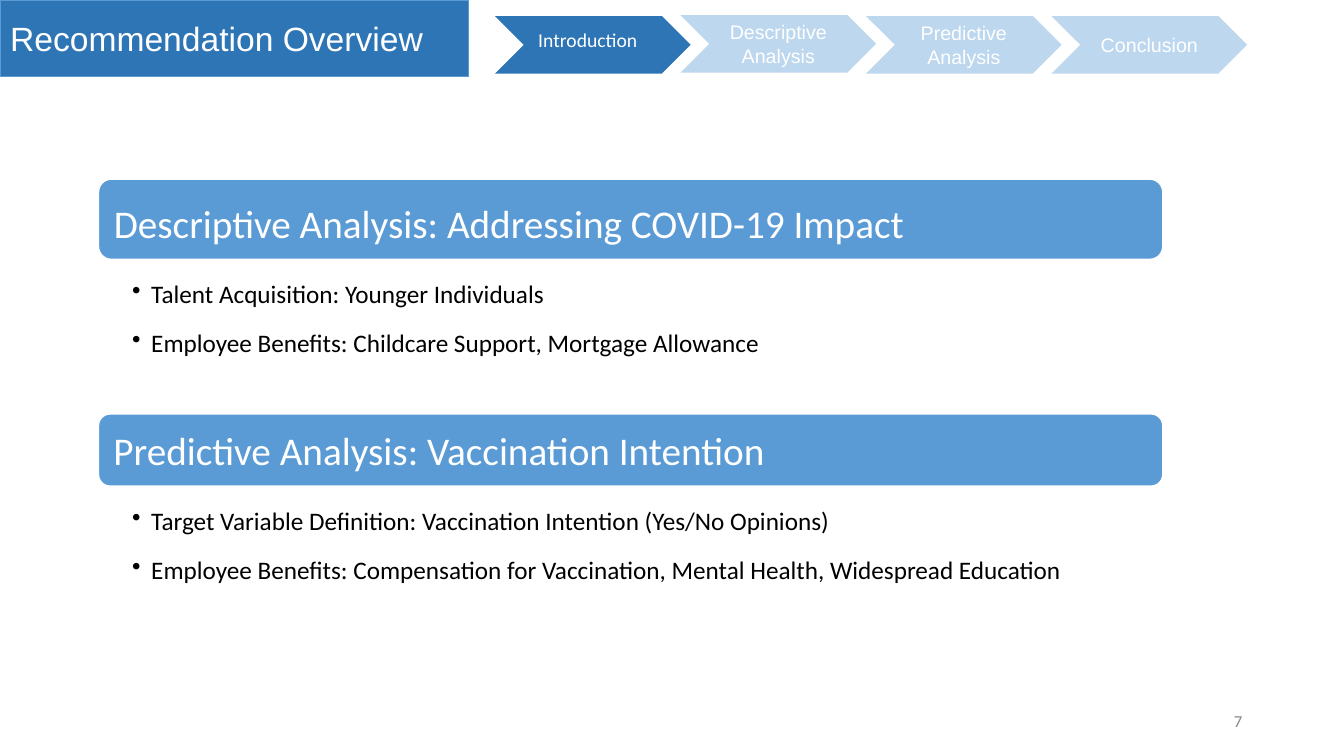
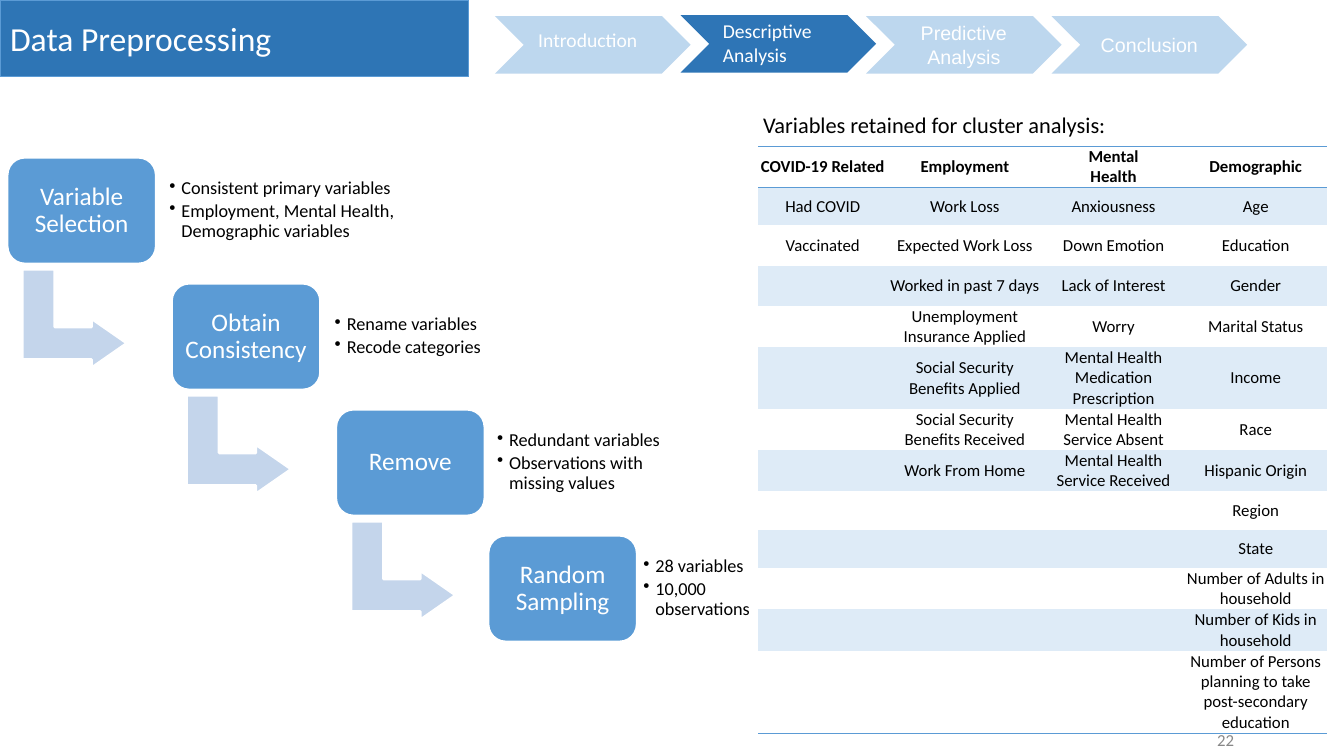
from lxml import etree
from pptx import Presentation
from pptx import util as u
from pptx.dml.color import RGBColor
from pptx.enum import shapes, text
from pptx.oxml import ns

BAND = RGBColor(0x2E, 0x75, 0xB5)
ACTIVE = RGBColor(0x2E, 0x75, 0xB6)
INACTIVE = RGBColor(0xBD, 0xD7, 0xEE)
ACCENT = RGBColor(0x5B, 0x9B, 0xD5)
ARROW = RGBColor(0xC4, 0xD5, 0xEB)
STRIPE = RGBColor(0xDE, 0xEB, 0xF7)
GREY = RGBColor(0x88, 0x88, 0x88)
WHITE = RGBColor(0xFF, 0xFF, 0xFF)
BLACK = RGBColor(0, 0, 0)

LEFT, CENTER, RIGHT = text.PP_ALIGN.LEFT, text.PP_ALIGN.CENTER, text.PP_ALIGN.RIGHT
TOP, MIDDLE, BOTTOM = text.MSO_ANCHOR.TOP, text.MSO_ANCHOR.MIDDLE, text.MSO_ANCHOR.BOTTOM
NO_TABLE_STYLE = "{2D5ABB26-0587-4C30-8999-92F81FD0307C}"

# Label, top of its chevron
STAGES = [("Introduction", 0.16), ("Descriptive Analysis", 0.15),
          ("Predictive Analysis", 0.16), ("Conclusion", 0.16)]
# Label text, offset from the chevron, size
INTRODUCTION_LABEL = ("Introduction", 0.33, 0.07, 1.27, 0.34)
DESCRIPTIVE_LABEL = ("Descriptive \vAnalysis", 0.32, -0.01, 2.21, 0.57)

# Heading, top, heading height, bullet height, bullets
RECOMMENDATIONS = [
    ("Descriptive Analysis: Addressing COVID-19 Impact", 1.77, 0.81, 1.52,
     ["Talent Acquisition: Younger Individuals",
      "Employee Benefits: Childcare Support, Mortgage Allowance"]),
    ("Predictive Analysis: Vaccination Intention", 4.1, 0.73, 1.16,
     ["Target Variable Definition: Vaccination Intention (Yes/No Opinions)",
      "Employee Benefits: Compensation for Vaccination, Mental Health, "
      "Widespread Education"]),
]

# Name, left, left of the notes, width of the notes, notes
STEPS = [
    ("Variable Selection", 0.07, 1.61, 2.46,
     ["Consistent primary variables",
      "Employment, Mental Health, Demographic variables"]),
    ("Obtain Consistency", 1.7, 3.25, 1.77,
     ["Rename variables", "Recode categories"]),
    ("Remove", 3.33, 4.86, 2.05,
     ["Redundant variables", "Observations with missing values"]),
    ("Random Sampling", 4.84, 6.31, 1.58,
     ["28 variables", "10,000 observations"]),
]

VARIABLES = {
    "COVID-19 Related": ["Had COVID", "Vaccinated"],
    "Employment": [
        "Work Loss", "Expected Work Loss", "Worked in past 7 days",
        "Unemployment Insurance Applied", "Social Security Benefits Applied",
        "Social Security Benefits Received", "Work From Home"],
    "Mental\nHealth": [
        "Anxiousness", "Down Emotion", "Lack of Interest", "Worry",
        "Mental Health Medication Prescription",
        "Mental Health Service Absent", "Mental Health Service Received"],
    "Demographic": [
        "Age", "Education", "Gender", "Marital Status", "Income", "Race",
        "Hispanic Origin", "Region", "State", "Number of Adults in household",
        "Number of Kids in household",
        "Number of Persons planning to take post-secondary education"],
}
COLUMN_WIDTHS = [1.28, 1.54, 1.41, 1.41]
ROW_HEIGHTS = [0.4, 0.38, 0.4, 0.4, 0.41, 0.61, 0.41,
               0.41, 0.38, 0.38, 0.41, 0.41, 0.82]


def inches(*lengths):
    return [u.Inches(length) for length in lengths]


def write(frame, lines, size=14, font="Calibri", color=BLACK, bold=False,
          align=LEFT, anchor=TOP, insets=(0.1, 0.05, 0.1, 0.05),
          spacing=None, after=0, bullet_indent=None):
    """Fill a text frame with one paragraph per line."""
    frame.word_wrap = True
    frame.auto_size = text.MSO_AUTO_SIZE.NONE
    frame.vertical_anchor = anchor
    (frame.margin_left, frame.margin_top,
     frame.margin_right, frame.margin_bottom) = inches(*insets)
    for index, line in enumerate(lines):
        para = frame.add_paragraph() if index else frame.paragraphs[0]
        para.text = line
        para.alignment = align
        para.space_after = u.Pt(after)
        if spacing:
            para.line_spacing = spacing
        if bullet_indent:
            add_bullet(para, bullet_indent)
        for span in para.runs:
            span.font.size = u.Pt(size)
            span.font.name = font
            span.font.bold = bold
            span.font.color.rgb = color


def add_bullet(para, indent):
    props = para._p.get_or_add_pPr()
    props.set("marL", str(u.Inches(indent)))
    props.set("indent", str(-u.Inches(indent)))
    etree.SubElement(props, ns.qn("a:buChar")).set("char", "•")


def add_text(page, at, lines, **style):
    write(page.shapes.add_textbox(*inches(*at)).text_frame, lines, **style)


def add_filled(page, kind, at, fill, line=None):
    shape = page.shapes.add_shape(kind, *inches(*at))
    shape.shadow.inherit = False
    shape.fill.solid()
    shape.fill.fore_color.rgb = fill
    if line is None:
        shape.line.fill.background()
    else:
        shape.line.color.rgb = line
        shape.line.width = u.Pt(2)
    return shape


def add_title(page, title, font):
    band = page.shapes.title
    band.left, band.top, band.width, band.height = inches(0, 0, 4.65, 0.76)
    band.fill.solid()
    band.fill.fore_color.rgb = BAND
    band.line.color.rgb = ACCENT
    band.line.width = u.Pt(0.75)
    write(band.text_frame, [title], size=24, font=font, color=WHITE, anchor=MIDDLE)


def add_navigation(page, active, left=4.91, pitch=1.84):
    """Draw the row of stages, with the active one darker."""
    for index, (stage, top) in enumerate(STAGES):
        x = left + index * pitch
        chevron = add_filled(page, shapes.MSO_SHAPE.CHEVRON, (x, top, 1.94, 0.57),
                             ACTIVE if stage == active else INACTIVE)
        if stage == "Introduction":
            label = INTRODUCTION_LABEL
        elif stage == active == "Descriptive Analysis":
            label = DESCRIPTIVE_LABEL
        else:
            write(chevron.text_frame, [stage], font="Arial", color=WHITE,
                  align=CENTER, anchor=MIDDLE)
            continue
        words, dx, dy, width, height = label
        add_text(page, (x + dx, top + dy, width, height), [words], color=WHITE)


def add_page(deck, title, font, active, number, number_at):
    page = deck.slides.add_slide(deck.slide_layouts[5])
    add_title(page, title, font)
    add_navigation(page, active)
    add_text(page, (*number_at, 3, 0.4), [number], size=12, color=GREY,
             align=RIGHT, anchor=MIDDLE)
    return page


def add_recommendation(page, at, heading, heading_height, bullets):
    left, top, width, height = at
    bar = add_filled(page, shapes.MSO_SHAPE.ROUNDED_RECTANGLE,
                     (left, top, width, heading_height), ACCENT, WHITE)
    write(bar.text_frame, [heading], size=28, color=WHITE, anchor=BOTTOM,
          insets=(0.12, 0.12, 0.12, 0.1), spacing=1.5)
    add_text(page, (left, top + heading_height, width, height - heading_height),
             bullets, size=18, insets=(0.34, 0.03, 0.14, 0.03), spacing=1.5,
             after=3, bullet_indent=0.19)


def add_step(page, left, top, name, notes_left, notes_width, notes):
    card = add_filled(page, shapes.MSO_SHAPE.ROUNDED_RECTANGLE,
                      (left, top, 1.48, 1.06), ACCENT, WHITE)
    write(card.text_frame, [name], size=18, color=WHITE, align=CENTER,
          anchor=MIDDLE, insets=(0.05,) * 4, spacing=0.9)
    add_text(page, (notes_left, top + 0.06, notes_width, 0.93), notes, size=13,
             anchor=MIDDLE, insets=(0.07,) * 4, spacing=0.9, after=2,
             bullet_indent=0.12)


def add_step_arrow(page, left, top):
    arrow = add_filled(page, shapes.MSO_SHAPE.BENT_UP_ARROW,
                       (left, top, 0.98, 1.04), ARROW, WHITE)
    arrow.rotation = 90
    for index, value in enumerate((0.33, 0.25, 0.36)):
        arrow.adjustments[index] = value


def add_staircase(page, top=1.56, rise=1.25):
    for index, (name, left, notes_left, notes_width, notes) in enumerate(STEPS):
        y = top + index * rise
        if index < len(STEPS) - 1:
            add_step_arrow(page, left + 0.18, y + 1.08)
        add_step(page, left, y, name, notes_left, notes_width, notes)


def add_rule(cell, side):
    """Draw a border on one side of a cell: lnT or lnB."""
    props = cell._tc.get_or_add_tcPr()
    line = etree.Element(ns.qn("a:" + side), w=str(u.Pt(1)))
    fill = etree.SubElement(line, ns.qn("a:solidFill"))
    etree.SubElement(fill, ns.qn("a:srgbClr")).set("val", str(ACCENT))
    borders = [child for child in props if child.tag in (ns.qn("a:lnT"), ns.qn("a:lnB"))]
    props.insert(len(borders), line)


def add_variable_table(page, left, top):
    size = inches(left, top, sum(COLUMN_WIDTHS), sum(ROW_HEIGHTS))
    table = page.shapes.add_table(len(ROW_HEIGHTS), len(COLUMN_WIDTHS), *size).table
    table._tbl.tblPr.find(ns.qn("a:tableStyleId")).text = NO_TABLE_STYLE
    table.horz_banding = False
    for row, height in zip(table.rows, ROW_HEIGHTS):
        row.height = u.Inches(height)
    last = len(ROW_HEIGHTS) - 1
    for col, (group, names) in enumerate(VARIABLES.items()):
        table.columns[col].width = u.Inches(COLUMN_WIDTHS[col])
        entries = [group] + names
        for row in range(last + 1):
            cell = table.cell(row, col)
            fill_cell(cell, entries[row] if row < len(entries) else "",
                      striped=row % 2 == 1, bold=row == 0)
            if row == 0:
                add_rule(cell, "lnT")
            if row in (0, last):
                add_rule(cell, "lnB")


def fill_cell(cell, words, striped, bold):
    cell.margin_left = cell.margin_right = cell.margin_top = cell.margin_bottom = 0
    cell.vertical_anchor = MIDDLE
    if striped:
        cell.fill.solid()
        cell.fill.fore_color.rgb = STRIPE
    else:
        cell.fill.background()
    if words:
        cell.text = words
    for para in cell.text_frame.paragraphs:
        para.alignment = CENTER
        para.font.size = u.Pt(12)
        for span in para.runs:
            span.font.size = u.Pt(12)
            span.font.name = "Calibri"
            span.font.bold = bold
            span.font.color.rgb = BLACK


def build_overview(deck):
    page = add_page(deck, "Recommendation Overview", "Arial", "Introduction",
                    "7", (9.42, 6.95))
    for heading, top, heading_height, bullets_height, bullets in RECOMMENDATIONS:
        add_recommendation(page, (0.97, top, 10.57, heading_height + bullets_height),
                           heading, heading_height, bullets)


def build_preprocessing(deck):
    page = add_page(deck, "Data Preprocessing", "Calibri", "Descriptive Analysis",
                    "22", (9.34, 7.14))
    add_staircase(page)
    add_text(page, (7.47, 1.05, 4, 0.37),
             ["Variables retained for cluster analysis:"], size=16)
    add_variable_table(page, 7.52, 1.45)


def main():
    deck = Presentation()
    deck.slide_width, deck.slide_height = inches(13.33, 7.5)
    build_overview(deck)
    build_preprocessing(deck)
    deck.save("out.pptx")


if __name__ == "__main__":
    main()
